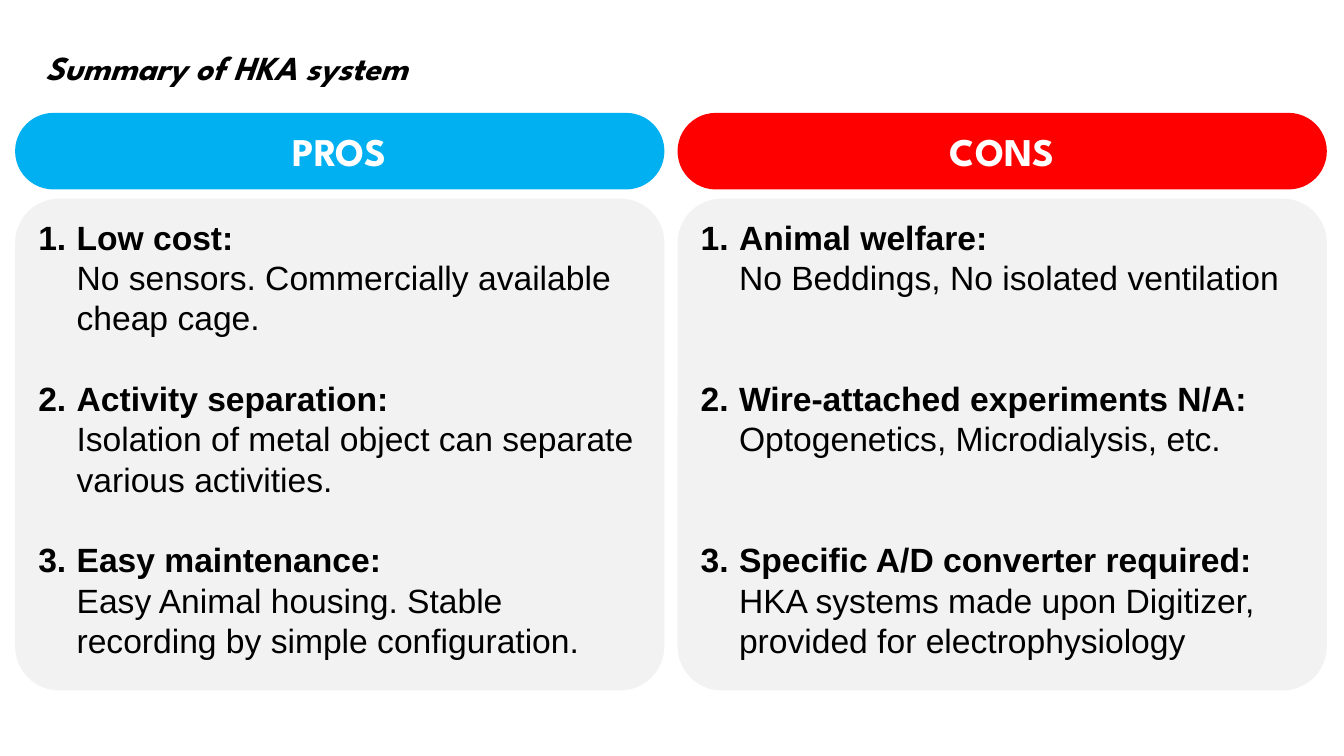
import pptx
import pptx.util
import pptx.dml.color
import pptx.enum.shapes
import pptx.enum.text
import pptx.oxml.xmlchemy
import lxml.etree
from pptx.oxml.ns import qn

Inches = pptx.util.Inches
Pt = pptx.util.Pt
RGB = pptx.dml.color.RGBColor
Align = pptx.enum.text.PP_ALIGN
Anchor = pptx.enum.text.MSO_ANCHOR
Fit = pptx.enum.text.MSO_AUTO_SIZE

BLUE = RGB(0x00, 0xB0, 0xF0)
RED = RGB(0xFF, 0x00, 0x00)
GREY = RGB(0xF2, 0xF2, 0xF2)
WHITE = RGB(0xFF, 0xFF, 0xFF)
BLACK = RGB(0x00, 0x00, 0x00)
HEAD_FONT = "League Spartan"
BODY_FONT = "Arial"

# Content: heading, colour, blank lines between points, points
TITLE = "Summary of HKA system"
SIDES = [
    ("PROS", BLUE, 1, [
        ("Low cost:", "No sensors. Commercially available cheap cage."),
        ("Activity separation:",
         "Isolation of metal object can separate various activities."),
        ("Easy maintenance:",
         "Easy Animal housing. Stable recording by simple configuration."),
    ]),
    ("CONS", RED, 2, [
        ("Animal welfare:", "No Beddings, No isolated ventilation"),
        ("Wire-attached experiments N/A:",
         "Optogenetics, Microdialysis, etc."),
        ("Specific A/D converter required:",
         "HKA systems made upon Digitizer, provided for electrophysiology"),
    ]),
]

# Layout in inches
LEFT, STEP, WIDTH = 0.15, 6.57, 6.44
HEAD_TOP, HEAD_HIGH = 1.12, 0.76
LIST_TOP, LIST_HIGH = 1.97, 4.88
INSET = 0.13
INDENT = 0.38
LINE = 28.8  # line pitch in points


def place(shape, left, top, width, height):
    shape.left, shape.top = Inches(left), Inches(top)
    shape.width, shape.height = Inches(width), Inches(height)


def style(font, name, size, color, bold):
    font.name, font.size, font.bold = name, Pt(size), bold
    font.color.rgb = color


def add_round(slide, left, top, height, color, round_by):
    shape = slide.shapes.add_shape(
        pptx.enum.shapes.MSO_SHAPE.ROUNDED_RECTANGLE,
        Inches(left), Inches(top), Inches(WIDTH), Inches(height))
    shape.adjustments[0] = round_by
    shape.shadow.inherit = False
    shape.fill.solid()
    shape.fill.fore_color.rgb = color
    shape.line.fill.background()
    return shape


def number(para):
    props = para._p.get_or_add_pPr()
    props.set("marL", str(Inches(INDENT)))
    props.set("indent", str(-Inches(INDENT)))
    lxml.etree.SubElement(props, qn("a:buFont"), typeface="+mj-lt")
    lxml.etree.SubElement(props, qn("a:buAutoNum"), type="arabicPeriod")


def fill_list(body, points, blanks):
    frame = body.text_frame
    frame.word_wrap = True
    frame.auto_size = Fit.NONE
    frame.vertical_anchor = Anchor.TOP
    for i, (head, detail) in enumerate(points):
        para = frame.paragraphs[0] if i == 0 else frame.add_paragraph()
        para.text = head + "\v" + detail
        number(para)
        para.alignment = Align.LEFT
        para.line_spacing = Pt(LINE)
        para.space_before = Pt(LINE * blanks if i else 0)
        para.space_after = Pt(0)
        for run, bold in zip(para.runs, (True, False)):
            style(run.font, BODY_FONT, 24, BLACK, bold)


def main():
    deck = pptx.Presentation()
    deck.slide_width, deck.slide_height = Inches(13.33), Inches(7.5)
    slide = deck.slides.add_slide(deck.slide_layouts[3])

    # Title
    title = slide.shapes.title
    place(title, 0.35, 0.42, 4.14, 0.5)
    frame = title.text_frame
    frame.text = TITLE
    frame.word_wrap = False
    frame.auto_size = Fit.NONE
    frame.vertical_anchor = Anchor.TOP
    frame.paragraphs[0].alignment = Align.LEFT
    font = frame.paragraphs[0].runs[0].font
    style(font, HEAD_FONT, 24, BLACK, True)
    font.italic = True

    # Two columns: heading pill, grey panel, numbered list
    for i, (name, color, blanks, points) in enumerate(SIDES):
        left = LEFT + i * STEP
        pill = add_round(slide, left, HEAD_TOP, HEAD_HIGH, color, 0.5)
        pill.text_frame.text = name
        pill.text_frame.vertical_anchor = Anchor.MIDDLE
        para = pill.text_frame.paragraphs[0]
        para.alignment = Align.CENTER
        style(para.runs[0].font, HEAD_FONT, 28, WHITE, True)

        panel = add_round(slide, left, LIST_TOP, LIST_HIGH, GREY, 0.09)
        body = slide.placeholders[i + 1]
        body.element.addprevious(panel.element)  # panel goes behind the list
        place(body, left + INSET, LIST_TOP + INSET,
              WIDTH - 2 * INSET, LIST_HIGH - 2 * INSET)
        fill_list(body, points, blanks)

    deck.save("out.pptx")


if __name__ == "__main__":
    main()
